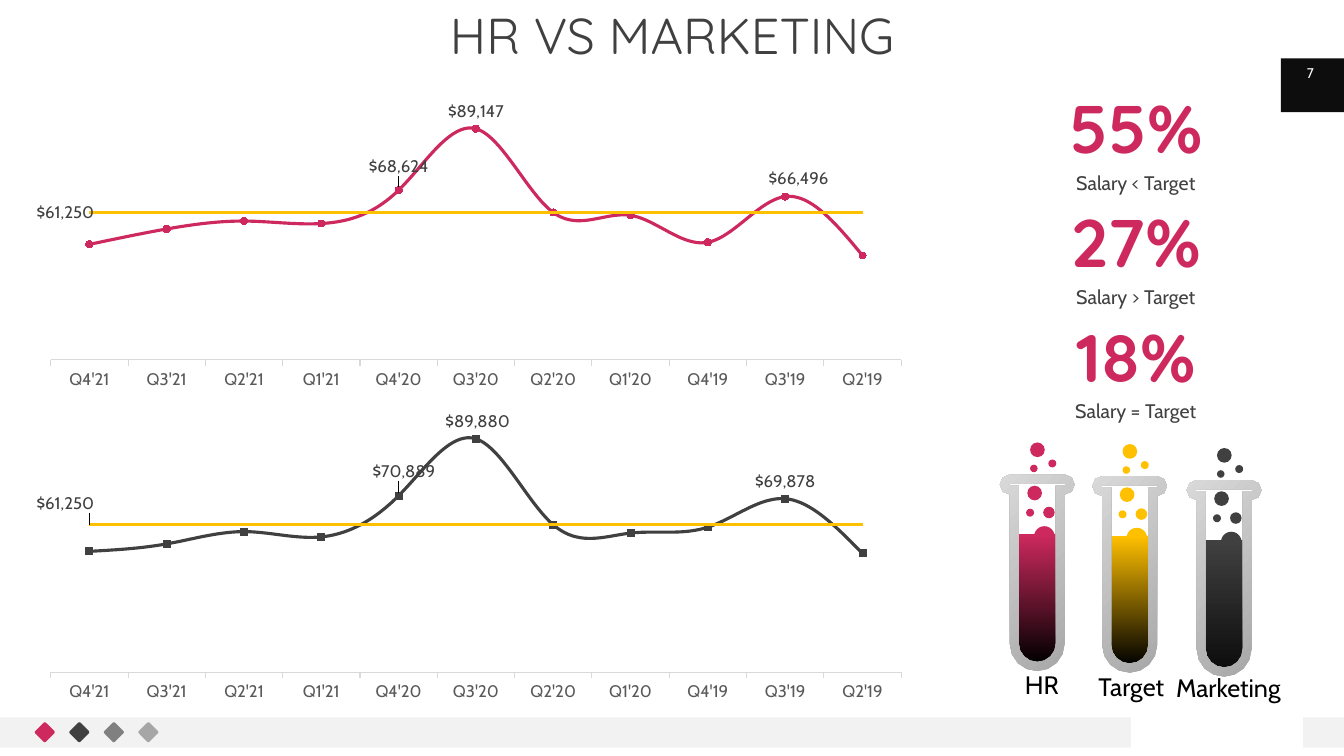
import math
import pptx
import pptx.chart.data
import pptx.dml.color
import pptx.enum.chart
import pptx.enum.shapes
import pptx.enum.text
import pptx.util
from pptx.oxml import parse_xml

Cm, Pt = pptx.util.Cm, pptx.util.Pt
RGB = pptx.dml.color.RGBColor
Kind = pptx.enum.shapes.MSO_SHAPE
Align = pptx.enum.text.PP_ALIGN
Anchor = pptx.enum.text.MSO_ANCHOR
Spot = pptx.enum.chart.XL_LABEL_POSITION
Mark = pptx.enum.chart.XL_MARKER_STYLE
Tick = pptx.enum.chart.XL_TICK_MARK

PINK = RGB(0xCE, 0x29, 0x5E)
GOLD = RGB(0xFF, 0xC0, 0x00)
DARK = RGB(0x40, 0x40, 0x40)
MID = RGB(0x59, 0x59, 0x59)
GRAY = RGB(0x80, 0x80, 0x80)
SOFT = RGB(0xA6, 0xA6, 0xA6)
PALE = RGB(0xD9, 0xD9, 0xD9)
MIST = RGB(0xF2, 0xF2, 0xF2)
INK = RGB(0x0D, 0x0D, 0x0D)
BLACK = RGB(0, 0, 0)
WHITE = RGB(255, 255, 255)

# Content
TITLE = "HR VS MARKETING"
PAGE = "7"
STATS = [("55%", "Salary < Target"), ("27%", "Salary > Target"),
         ("18%", "Salary = Target")]
TERMS = ["Q4'21", "Q3'21", "Q2'21", "Q1'21", "Q4'20", "Q3'20",
         "Q2'20", "Q1'20", "Q4'19", "Q3'19", "Q2'19"]
GOAL = 61250
MONEY = '"$"#,##0'
# Labels: point -> shift in percent of the chart size
CHARTS = [
    dict(top=2.11, color=PINK, mark=Mark.CIRCLE, goal=(1, 0),
         vals=[50500, 55662, 58304, 57479, 68624, 89147,
               61163, 60206, 51201, 66496, 46787],
         tags={4: (0, -2), 5: None, 9: (1.5, 0)}),
    dict(top=9.98, color=DARK, mark=Mark.SQUARE, goal=(1, -6.7),
         vals=[52297, 54793, 58891, 57138, 70889, 89880,
               61163, 58401, 60386, 69878, 51587],
         tags={4: (0.6, -2.2), 5: (0.2, 0), 9: None}),
]
# Tubes: left, top, colour, deep colour, name, name box (left, top, width)
TUBES = [
    (25.2, 11.96, PINK, BLACK, "HR", (25.58, 16.74, 1.47)),
    (27.53, 12, GOLD, BLACK, "Target", (27.43, 16.79, 2.18)),
    (29.91, 12.1, DARK, INK, "Marketing", (29.39, 16.81, 3.28)),
]
# Bubbles: left, top, size, measured from the tube corner
DOTS = [(1.09, 0.81, 0.29), (0.86, 1.3, 0.52), (0.66, 0.86, 0.2),
        (0.69, 0.28, 0.37), (1.22, -0.38, 0.2), (0.76, -0.25, 0.19),
        (0.76, -0.81, 0.37)]
BARS = [(0, 18.08, 28.5, 0.76, MIST), (32.28, 1.47, 1.59, 1.36, INK),
        (32.84, 18.08, 1.03, 0.76, MIST)]
GEMS = [PINK, DARK, GRAY, SOFT]

deck = pptx.Presentation()
deck.slide_width, deck.slide_height = Cm(33.87), Cm(19.05)
slide = deck.slides.add_slide(deck.slide_layouts[6])


def style(item, vals):
    for key, val in vals.items():
        setattr(item, key, val)


def ink(font, size, color, name="Cabin", bold=False):
    style(font, dict(size=Pt(size), name=name, bold=bold))
    font.color.rgb = color


def shape(home, kind, box, color):
    item = home.add_shape(kind, *map(Cm, box))
    item.shadow.inherit = False
    item.fill.solid()
    item.fill.fore_color.rgb = color
    item.line.fill.background()
    return item


def text(words, box, size, color, name="Cabin", bold=False, pad=0, wrap=True,
         align=Align.CENTER, anchor=Anchor.MIDDLE, space=1.0):
    frame = slide.shapes.add_textbox(*map(Cm, box)).text_frame
    style(frame, dict(word_wrap=wrap, vertical_anchor=anchor,
                      margin_left=Cm(pad), margin_right=Cm(pad),
                      margin_top=Cm(pad / 2), margin_bottom=Cm(pad / 2)))
    para = frame.paragraphs[0]
    style(para, dict(alignment=align, line_spacing=space))
    run = para.add_run()
    run.text = words
    ink(run.font, size, color, name, bold)


def arc(x, y, r, start, end, steps=8):
    """Points on a circle; angles in degrees, clockwise from the right."""
    turns = [math.radians(start + (end - start) * i / steps)
             for i in range(steps + 1)]
    return [(x + r * math.cos(t), y + r * math.sin(t)) for t in turns]


def outline(loops, left, top, stops, angle):
    grid = [[(x * 1000, y * 1000) for x, y in loop] for loop in loops]
    pen = slide.shapes.build_freeform(*grid[0][0], scale=Cm(1) / 1000)
    pen.add_line_segments(grid[0][1:])
    for loop in grid[1:]:
        pen.move_to(*loop[0])
        pen.add_line_segments(loop[1:])
    item = pen.convert_to_shape(Cm(left), Cm(top))
    item.shadow.inherit = False
    item.line.fill.background()
    item.fill.gradient()
    item.fill.gradient_angle = angle
    for stop, color, place in zip(item.fill.gradient_stops, stops, (0, 1)):
        stop.color.rgb = color
        stop.position = place


def chart_xml(tag, body):
    return parse_xml(
        f'<c:{tag} xmlns:c="http://schemas.openxmlformats.org/drawingml/2006/chart"'
        ' xmlns:c15="http://schemas.microsoft.com/office/drawing/2012/chart">'
        f"{body}</c:{tag}>")


def layout(x, y, w=None, h=None):
    parts = [(k, v / 100) for k, v in zip("xywh", (x, y, w, h)) if v is not None]
    if w:
        parts = [("layoutTarget", "inner"), ("xMode", "edge"),
                 ("yMode", "edge")] + parts
    body = "".join(f'<c:{k} val="{v}"/>' for k, v in parts)
    return chart_xml("layout", f"<c:manualLayout>{body}</c:manualLayout>")


def label(line, spot, shifts):
    line.data_labels.show_value = False
    for num, shift in shifts.items():
        item = line.points[num].data_label
        item.position = spot
        ink(item.font, 12, DARK)
        if shift:
            node = line._element.xpath(f"c:dLbls/c:dLbl[c:idx/@val={num}]")[0]
            node.insert(1, layout(*shift))


def unlead(line):
    """Turn off the lines that lead from moved labels to their points."""
    home = line._element.xpath("c:dLbls")[0]
    for old in home.xpath("c:showLeaderLines"):
        home.remove(old)
    home.append(chart_xml("extLst", (
        '<c:ext uri="{CE6537A1-D6FC-4f65-9D91-7224C49458BB}">'
        '<c15:showLeaderLines val="0"/></c:ext>')))


def plot(top, color, mark, goal, vals, tags):
    data = pptx.chart.data.CategoryChartData(number_format=MONEY)
    data.categories = TERMS
    data.add_series("Series 1", vals)
    data.add_series("Series 2", [GOAL] * len(TERMS))
    chart = slide.shapes.add_chart(
        pptx.enum.chart.XL_CHART_TYPE.LINE_MARKERS,
        Cm(0.81), Cm(top), Cm(22.35), Cm(7.87), data).chart
    style(chart, dict(has_legend=False, has_title=False))
    ink(chart.font, 10, BLACK)
    area = chart._chartSpace.xpath("c:chart/c:plotArea")[0]
    for old in area.xpath("c:layout"):
        area.remove(old)
    area.insert(0, layout(2.1, 4, 95.9, 84.4))
    style(chart.value_axis, dict(visible=False, has_major_gridlines=False,
                                 minimum_scale=12000, maximum_scale=100000))
    axis = chart.category_axis
    style(axis, dict(major_tick_mark=Tick.OUTSIDE, has_major_gridlines=False))
    ink(axis.tick_labels.font, 12, MID)
    axis.format.line.color.rgb = PALE
    axis.format.line.width = Pt(0.75)
    chart.plots[0].vary_by_categories = False
    pay, aim = chart.plots[0].series
    for line, tint, sign in ((pay, color, mark), (aim, GOLD, Mark.NONE)):
        line.smooth = line is pay
        line.format.line.color.rgb = tint
        line.format.line.width = Pt(2.25)
        style(line.marker, dict(style=sign, size=5))
    look = pay.marker.format
    look.fill.solid()
    look.fill.fore_color.rgb = color
    look.line.color.rgb = color
    label(pay, Spot.ABOVE, tags)
    label(aim, Spot.LEFT, {0: goal})
    unlead(aim)


# Frame: bars, diamonds, page number
for *box, color in BARS:
    shape(slide.shapes, Kind.RECTANGLE, box, color)
for i, color in enumerate(GEMS):
    gem = shape(slide.shapes, Kind.ROUNDED_RECTANGLE,
                (0.94 + 0.87 * i, 18.26, 0.38, 0.38), color)
    gem.rotation = 315
    gem.adjustments[0] = 0.11
text(PAGE, (32.44, 1.32, 1.17, 1.02), 10, WHITE)

# Charts
for row in CHARTS:
    plot(**row)

# Test tubes: rim and wall outside, bore and slot inside
SHELL = (arc(0.94, 4.26, 0.69, 0, 180) + arc(0.25, 0.25, 0.25, 90, 270, 4)
         + arc(1.63, 0.25, 0.25, -90, 90, 4))
BORE = ([(1.41, 0.28), (1.65, 0.28), (1.65, 0.23), (0.23, 0.23),
         (0.23, 0.28), (0.47, 0.28)] + arc(0.94, 4.25, 0.47, 180, 0))
FLUID = [(0.36, 1.5), (1.5, 1.5)] + arc(0.93, 4.18, 0.57, 0, 180, 6)
for left, top, color, deep, name, (x, y, wide) in TUBES:
    group = slide.shapes.add_group_shape().shapes
    for dx, dy, size in DOTS:
        shape(group, Kind.OVAL, (left + dx, top + dy, size, size), color)
    outline([FLUID], left, top, (deep, color), 90)
    outline([SHELL + SHELL[:1], BORE + BORE[:1]], left, top, (SOFT, PALE), 135)
    text(name, (x, y, wide, 1.02), 18, BLACK, pad=0.25, wrap=False,
         align=Align.LEFT, anchor=Anchor.TOP)

# Title and key figures
text(TITLE, (2.34, 0.28, 29.2, 1.4), 36, DARK, "Quicksand",
     anchor=Anchor.TOP, space=0.9)
for i, (share, note) in enumerate(STATS):
    text(share, (25.07, 2.16 + 2.88 * i, 7.11, 2.06), 48, PINK, "Quicksand", True)
    text(note, (25.35, 4.29 + 2.88 * i, 6.55, 0.61), 14, DARK)

deck.save("out.pptx")
